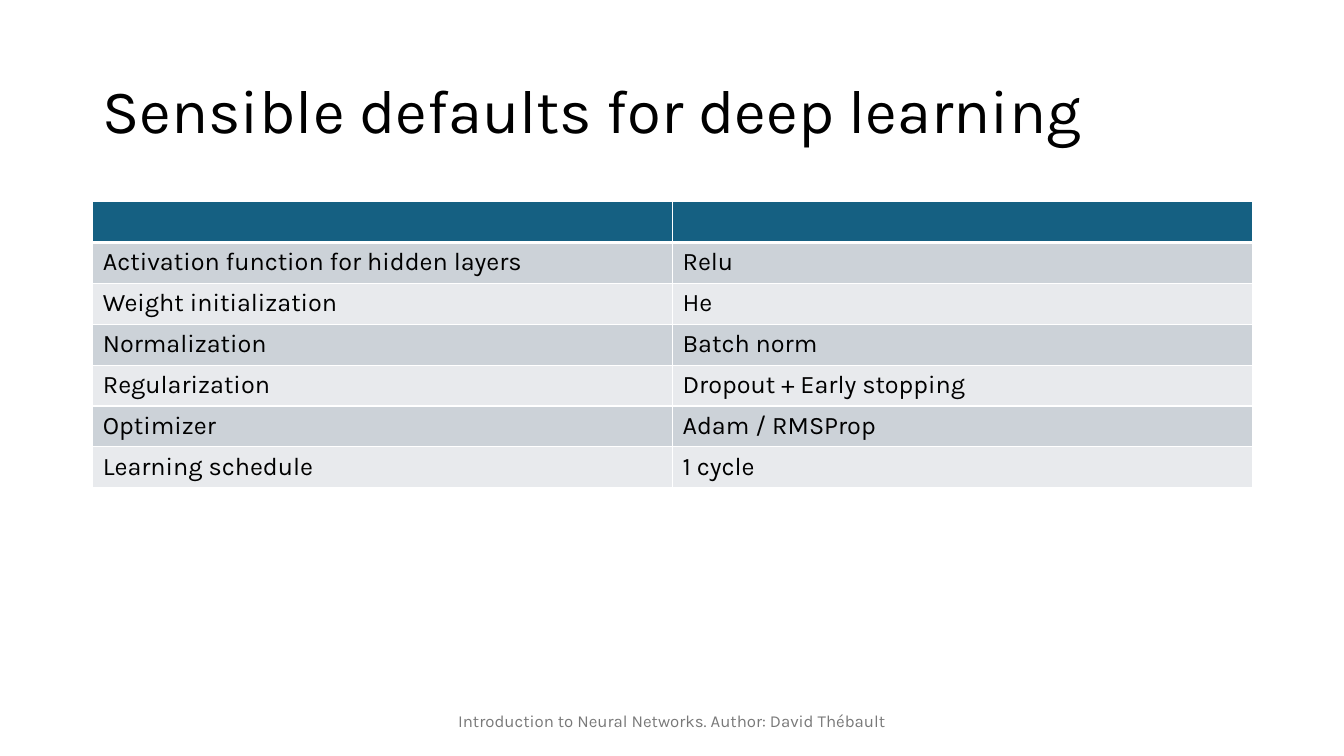
from lxml.etree import SubElement as Sub
from pptx import Presentation
from pptx.dml.color import RGBColor as Rgb
from pptx.enum.text import MSO_ANCHOR as Anchor, PP_ALIGN as Align
from pptx.oxml.ns import qn
from pptx.util import Inches, Pt

WIDE, HIGH = 13.33, 7.5
EDGE = 0.92
BODY = 11.5
COLORS = {
    "text": "000000", "foot": "797979", "head": "156082",
    "odd": "CCD2D8", "even": "E8EAED", "rule": "FFFFFF",
}
ROWS = [
    ("", ""),
    ("Activation function for hidden layers", "Relu"),
    ("Weight initialization", "He"),
    ("Normalization", "Batch norm"),
    ("Regularization", "Dropout + Early stopping"),
    ("Optimizer", "Adam / RMSProp"),
    ("Learning schedule", "1 cycle"),
]


def write(para, text, size, color="text"):
    run = para.add_run()
    run.text = text
    look = {"name": "Karla", "size": Pt(size), "bold": False}
    for key, value in look.items():
        setattr(run.font, key, value)
    run.font.color.rgb = Rgb.from_string(COLORS[color])


def add_text(slide, box, text, size, color="text", **style):
    frame = slide.shapes.add_textbox(*map(Inches, box)).text_frame
    frame.word_wrap = True
    frame.vertical_anchor = Anchor.MIDDLE
    para = frame.paragraphs[0]
    for key, value in style.items():
        setattr(para, key, value)
    write(para, text, size, color)


def add_rules(cell, widths):
    """Draw cell borders; widths maps a side (L, R, T, B) to points."""
    props = cell._tc.get_or_add_tcPr()
    for side, width in widths.items():
        line = Sub(props, qn(f"a:ln{side}"), w=str(Pt(width)))
        fill = Sub(line, qn("a:solidFill"))
        Sub(fill, qn("a:srgbClr"), val=COLORS["rule"])


def add_grid(slide, box, rows):
    shape = slide.shapes.add_table(len(rows), len(rows[0]), *map(Inches, box))
    table = shape.table
    for r, row in enumerate(rows):
        band = "head" if r == 0 else "odd" if r % 2 else "even"
        for c, text in enumerate(row):
            cell = table.cell(r, c)
            add_rules(cell, {"L": 1, "R": 1, "T": 3 if r == 1 else 1,
                             "B": 3 if r == 0 else 1})
            cell.fill.solid()
            cell.fill.fore_color.rgb = Rgb.from_string(COLORS[band])
            if text:
                write(cell.text_frame.paragraphs[0], text, 18)


def main():
    deck = Presentation()
    deck.slide_width, deck.slide_height = Inches(WIDE), Inches(HIGH)
    slide = deck.slides.add_slide(deck.slide_layouts[6])
    add_text(slide, (EDGE, 0.4, BODY, 1.45),
             "Sensible defaults for deep learning", 44, line_spacing=0.9)
    add_grid(slide, (EDGE, 2, BODY, 2.84), ROWS)
    foot = 4.5
    add_text(slide, ((WIDE - foot) / 2, 6.95, foot, 0.4),
             "Introduction to Neural Networks. Author: David Thébault",
             12, "foot", alignment=Align.CENTER)
    deck.save("out.pptx")


if __name__ == "__main__":
    main()
